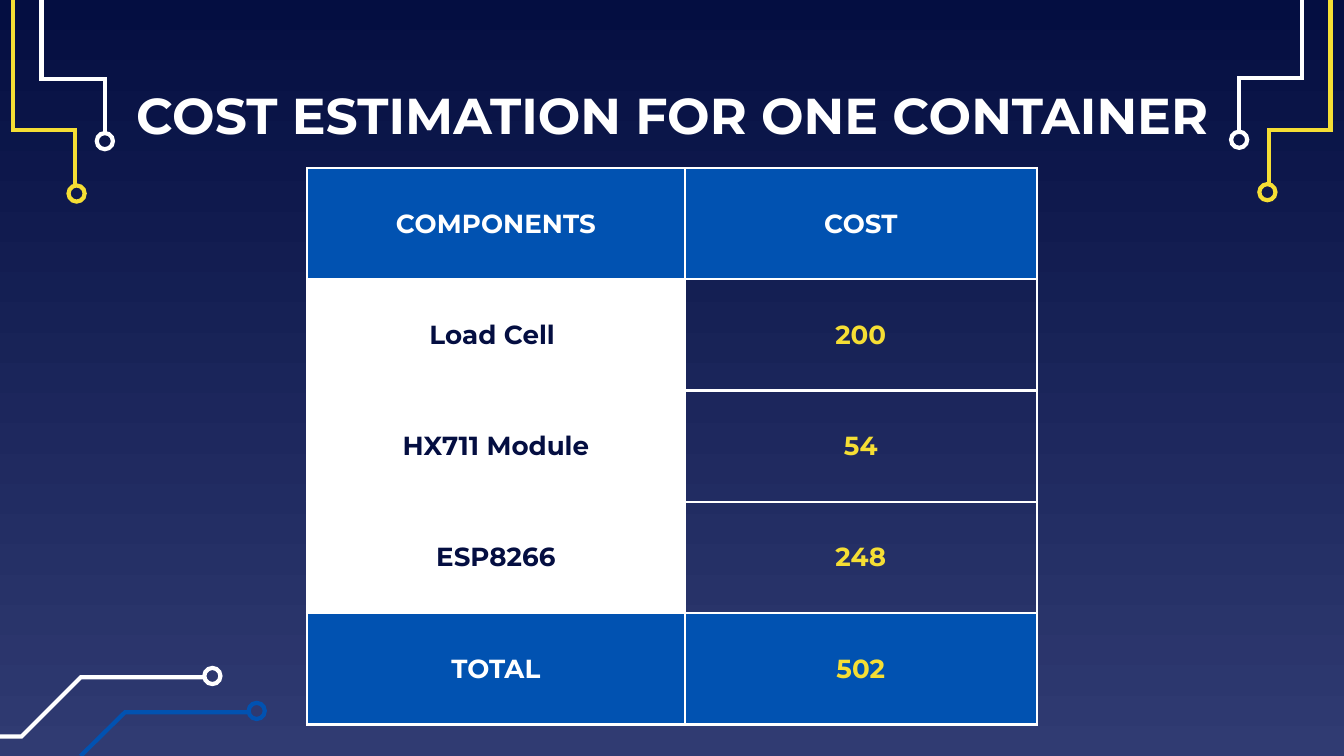
"""Build the cost estimation slide with its table and circuit traces."""
from lxml.etree import SubElement
from pptx import Presentation
from pptx.dml.color import RGBColor
from pptx.enum.shapes import MSO_SHAPE
from pptx.enum.text import MSO_ANCHOR, PP_ALIGN
from pptx.oxml.ns import qn
from pptx.util import Inches, Pt

NAVY = RGBColor(0x04, 0x0E, 0x41)
INDIGO = RGBColor(0x30, 0x3B, 0x72)
BLUE = RGBColor(0x01, 0x52, 0xB1)
YELLOW = RGBColor(0xF5, 0xDE, 0x34)
WHITE = RGBColor(0xFF, 0xFF, 0xFF)
FONT = "Montserrat"
WIDTH = 10
HEIGHT = WIDTH * 9 / 16

TITLE = "COST ESTIMATION FOR ONE CONTAINER"
ROWS = [
    ("COMPONENTS", "COST"),
    ("Load Cell ", "200"),
    ("HX711 Module", "54"),
    ("ESP8266", "248"),
    ("TOTAL", "502"),
]
HEADER_STYLE = [(BLUE, WHITE), (BLUE, WHITE)]
ITEM_STYLE = [(WHITE, NAVY), (None, YELLOW)]
TOTAL_STYLE = [(BLUE, WHITE), (BLUE, YELLOW)]
STYLES = [HEADER_STYLE] + [ITEM_STYLE] * (len(ROWS) - 2) + [TOTAL_STYLE]
COLUMNS = (2.81, 2.62)
TABLE_TOP, TABLE_HEIGHT = 1.25, 4.14

RING = 0.12
TRACES = [
    (BLUE, [(0.6, HEIGHT), (0.93, 5.3), (1.85, 5.3)], (1.91, 5.29)),
    (WHITE, [(0, 5.48), (0.16, 5.48), (0.6, 5.04), (1.52, 5.04)], (1.58, 5.03)),
    (WHITE, [(0.31, 0), (0.31, 0.59), (0.78, 0.59), (0.78, 1)], (0.78, 1.05)),
    (YELLOW, [(0.1, 0), (0.1, 0.97), (0.56, 0.97), (0.56, 1.38)], (0.57, 1.44)),
    (WHITE, [(9.69, 0), (9.69, 0.58), (9.22, 0.58), (9.22, 0.99)], (9.22, 1.04)),
    (YELLOW, [(9.9, 0), (9.9, 0.97), (9.44, 0.97), (9.44, 1.37)], (9.43, 1.43)),
]


def outline(sp, color):
    sp.shadow.inherit = False
    sp.fill.background()
    sp.line.color.rgb = color
    sp.line.width = Pt(2.25)
    SubElement(sp.line._get_or_add_ln(), qn("a:miter"), lim="800000")


def add_trace(slide, color, points, center):
    start, *rest = [(Inches(x), Inches(y)) for x, y in points]
    builder = slide.shapes.build_freeform(*start)
    builder.add_line_segments(rest, close=False)
    outline(builder.convert_to_shape(), color)
    x, y = (Inches(c - RING / 2) for c in center)
    ring = slide.shapes.add_shape(MSO_SHAPE.OVAL, x, y, Inches(RING), Inches(RING))
    outline(ring, color)


def write(tf, text, size, color):
    tf.text = text
    p = tf.paragraphs[0]
    p.alignment = PP_ALIGN.CENTER
    font = p.runs[0].font
    font.name, font.size, font.bold = FONT, Pt(size), True
    font.color.rgb = color


def set_margins(box):
    box.margin_left = box.margin_right = Inches(0.1)
    box.margin_top = box.margin_bottom = Inches(0.1)
    box.vertical_anchor = MSO_ANCHOR.MIDDLE


def add_borders(cell, row):
    side_width = 1 if row == 0 else 1.5
    top_width = 1 if row <= 1 else 1.5
    widths = {"a:lnL": side_width, "a:lnR": side_width,
              "a:lnT": top_width, "a:lnB": side_width}
    tc_pr = cell._tc.get_or_add_tcPr()
    for i, (side, width) in enumerate(widths.items()):
        ln = SubElement(tc_pr, qn(side), w=str(Pt(width)))
        fill = SubElement(ln, qn("a:solidFill"))
        SubElement(fill, qn("a:srgbClr"), val=str(WHITE))
        tc_pr.insert(i, ln)


def add_cost_table(slide):
    width = sum(COLUMNS)
    table = slide.shapes.add_table(
        len(ROWS), len(COLUMNS), Inches((WIDTH - width) / 2), Inches(TABLE_TOP),
        Inches(width), Inches(TABLE_HEIGHT)).table
    table.first_row = table.horz_banding = False
    for column, column_width in zip(table.columns, COLUMNS):
        column.width = Inches(column_width)
    for r, (texts, styles) in enumerate(zip(ROWS, STYLES)):
        for c, (text, (fill, color)) in enumerate(zip(texts, styles)):
            cell = table.cell(r, c)
            set_margins(cell)
            write(cell.text_frame, text, 14, color)
            if fill is None:
                cell.fill.background()
            else:
                cell.fill.solid()
                cell.fill.fore_color.rgb = fill
            add_borders(cell, r)


def main():
    prs = Presentation()
    prs.slide_width, prs.slide_height = Inches(WIDTH), Inches(HEIGHT)
    slide = prs.slides.add_slide(prs.slide_layouts[6])

    fill = slide.background.fill
    fill.gradient()
    fill.gradient_angle = 270
    for stop, color, position in zip(fill.gradient_stops, (NAVY, INDIGO), (0, 1)):
        stop.color.rgb = color
        stop.position = position

    for trace in TRACES:
        add_trace(slide, *trace)

    tf = slide.shapes.add_textbox(
        Inches(0.78), Inches(0.59), Inches(8.44), Inches(0.52)).text_frame
    tf.word_wrap = True
    set_margins(tf)
    write(tf, TITLE, 27, WHITE)

    add_cost_table(slide)
    prs.save("out.pptx")


if __name__ == "__main__":
    main()
